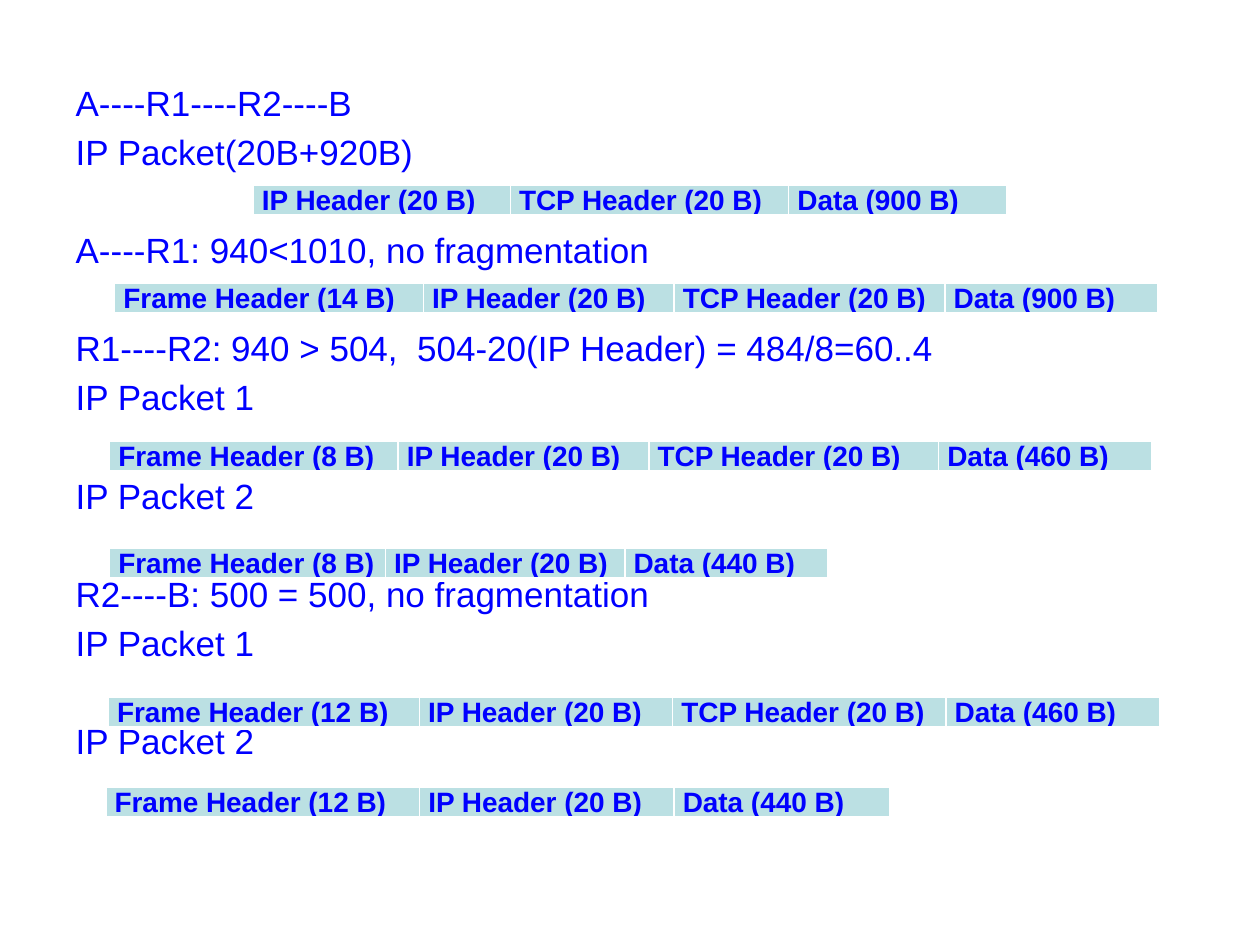
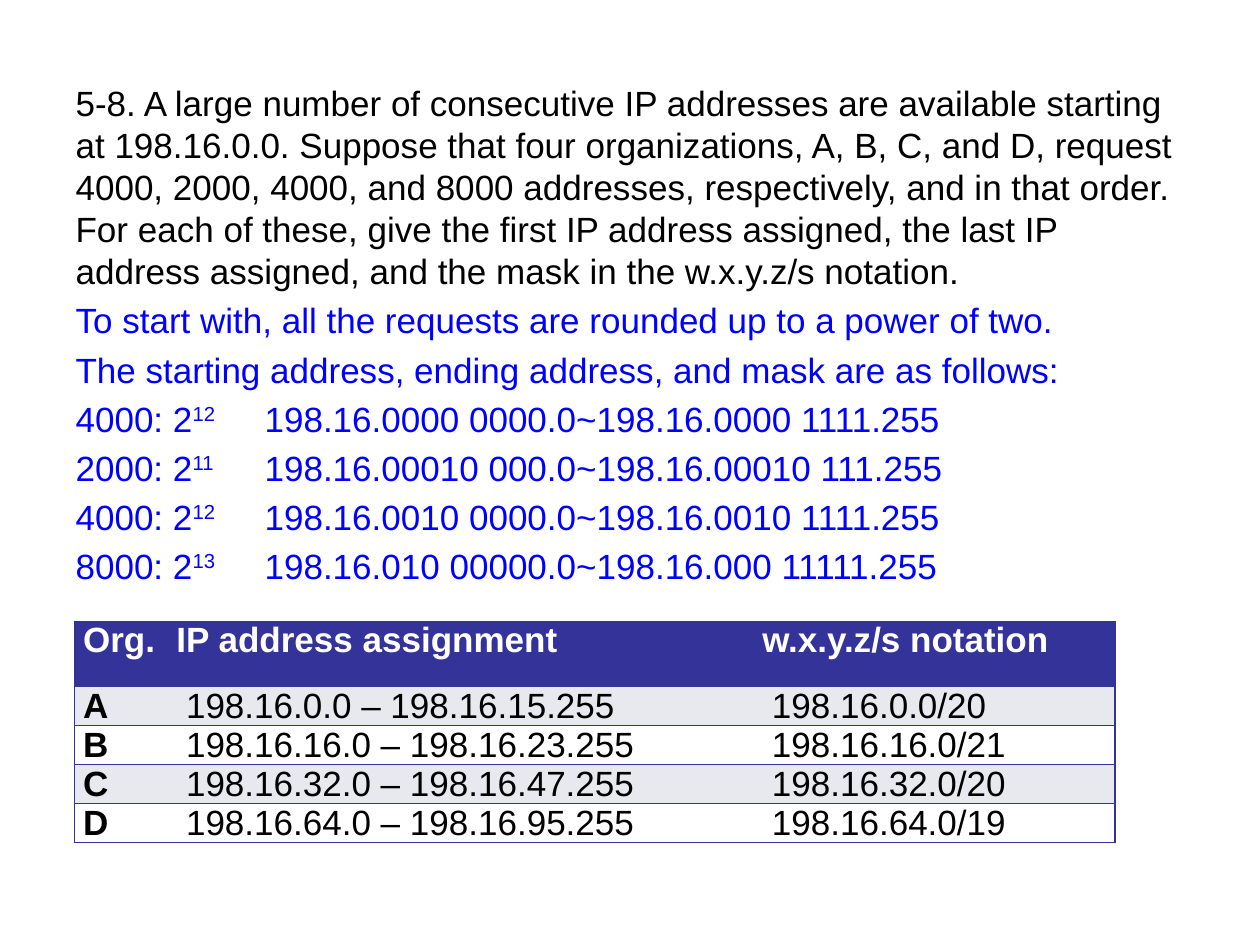
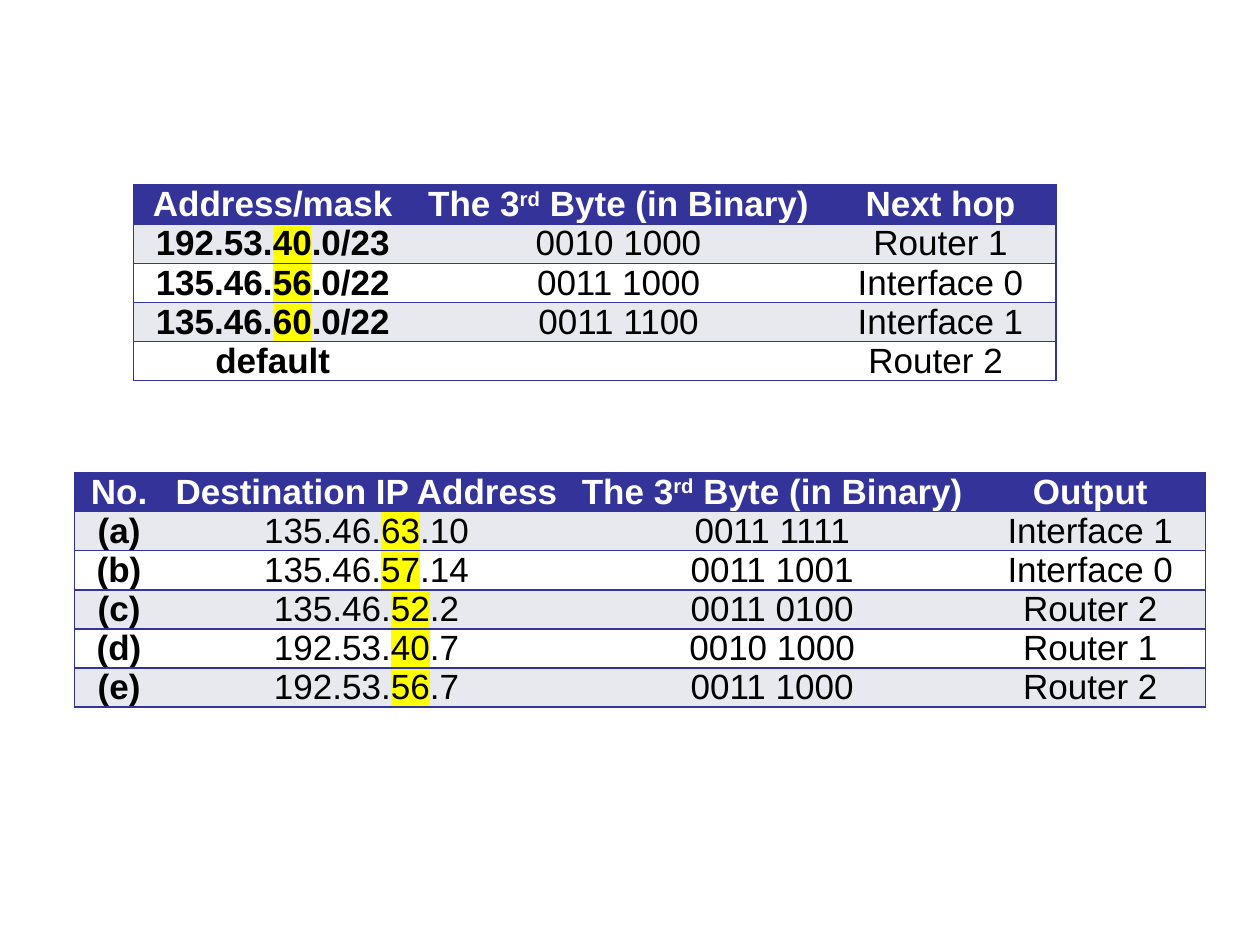
import pptx
import pptx.util
import pptx.dml.color
import pptx.enum.text
import pptx.oxml
import pptx.oxml.ns

Pt = pptx.util.Pt
qn = pptx.oxml.ns.qn
FONT = "Arial"
BLUE, BLACK, WHITE, YELLOW = "0000FF", "000000", "FFFFFF", "FFFF00"
NAVY, BAND, PALE = "333399", "E8E8EF", "BBE0E3"
BODY_BOX = (36, 43.2, 648, 436.3)
ROW_H = 22.3


def rgb(value):
    return pptx.dml.color.RGBColor.from_string(value)


def xml(tag, inner="", attrs=""):
    return pptx.oxml.parse_xml(
        f'<a:{tag} {pptx.oxml.ns.nsdecls("a")} {attrs}>{inner}</a:{tag}>')


def color_xml(value):
    return f'<a:srgbClr val="{value}"/>'


# Text: a run is a string, or a (text, "sup" | "mark") pair
def add_runs(p, runs, size, color, bold=False):
    for run in [runs] if isinstance(runs, str) else runs:
        text, kind = (run, None) if isinstance(run, str) else run
        r = p.add_run()
        r.text = text
        r.font.size = Pt(size)
        r.font.name = FONT
        r.font.bold = bold
        r.font.color.rgb = rgb(color)
        rPr = r.font._element
        if kind == "sup":
            rPr.set("baseline", "30000")
        elif kind == "mark":
            rPr.find(qn("a:solidFill")).addnext(xml("highlight", color_xml(YELLOW)))


def body_slide(prs, lines, box=BODY_BOX):
    """Lines are (runs, colour, space before) in the body placeholder."""
    s = prs.slides.add_slide(prs.slide_layouts[1])
    title = s.shapes.title.element
    title.getparent().remove(title)
    body = s.placeholders[1]
    body.left, body.top, body.width, body.height = map(Pt, box)
    tf = body.text_frame
    tf.word_wrap = True
    tf.auto_size = pptx.enum.text.MSO_AUTO_SIZE.NONE
    for i, (runs, color, before) in enumerate(lines):
        p = tf.add_paragraph() if i else tf.paragraphs[0]
        p.line_spacing = Pt(24)
        p.space_before = Pt(before)
        pPr = p._p.get_or_add_pPr()
        pPr.set("marL", "0")
        pPr.set("indent", "0")
        pPr.append(xml("buNone"))
        add_runs(p, runs, 20, color)
    return s


# Tables
def set_borders(cell, borders):
    """Borders are (colour or None, width) for left, right, top, bottom."""
    tcPr = cell._tc.get_or_add_tcPr()
    for i, (side, (color, width)) in enumerate(zip("LRTB", borders)):
        inner = f"<a:solidFill>{color_xml(color)}</a:solidFill>" if color else "<a:noFill/>"
        tcPr.insert(i, xml("ln" + side, inner, f'w="{Pt(width)}"'))


def make_table(s, left, top, cols, heights):
    shape = s.shapes.add_table(len(heights), len(cols), Pt(left), Pt(top),
                               Pt(sum(cols)), Pt(sum(heights)))
    table = shape.table
    for col, width in zip(table.columns, cols):
        col.width = Pt(width)
    for row, height in zip(table.rows, heights):
        row.height = Pt(height)
    return table


def fill_cell(cell, runs, fill, borders, size, color, bold, align=None):
    cell.fill.solid()
    cell.fill.fore_color.rgb = rgb(fill)
    set_borders(cell, borders)
    cell.margin_left = cell.margin_right = Pt(5)
    cell.margin_top = cell.margin_bottom = 0
    p = cell.text_frame.paragraphs[0]
    p.alignment = align
    if runs:
        add_runs(p, runs, size, color, bold)


def packet_table(s, left, top, fields):
    """One row showing the fields of a packet as (text, width)."""
    table = make_table(s, left, top, [w for _, w in fields], [17.9])
    borders = [(WHITE, 1)] * 3 + [(WHITE, 3)]
    for cell, (text, _) in zip(table.rows[0].cells, fields):
        fill_cell(cell, text, PALE, borders, 16, BLUE, True)


def banded_table(s, left, top, cols, rows, head_h=ROW_H, align=None):
    """Navy header, grey bands, bold first column, no inner verticals."""
    table = make_table(s, left, top, cols, [head_h] + [ROW_H] * (len(rows) - 1))
    last = len(cols) - 1
    for i, row in enumerate(rows):
        fill = NAVY if i == 0 else BAND if i % 2 else WHITE
        for j, runs in enumerate(row):
            borders = [(NAVY if j == 0 else None, 1),
                       (NAVY if j == last else None, 1), (NAVY, 1), (NAVY, 1)]
            fill_cell(table.cell(i, j), runs, fill, borders, 20,
                      BLACK if i else WHITE, i == 0 or j == 0, align)


# Slide 1: fragmentation along the route
def fragmentation_slide(prs):
    gap = 32  # leaves one line free for a packet table
    s = body_slide(prs, [(text, BLUE, before) for text, before in [
        ("A----R1----R2----B", 0),
        ("IP Packet(20B+920B)", 4),
        ("A----R1: 940<1010, no fragmentation", gap),
        ("R1----R2: 940 > 504,  504-20(IP Header) = 484/8=60..4", gap),
        ("IP Packet 1", 4),
        ("IP Packet 2", gap),
        ("R2----B: 500 = 500, no fragmentation", gap),
        ("IP Packet 1", 4),
        ("IP Packet 2", gap),
    ]])
    ip, tcp = "IP Header (20 B)", "TCP Header (20 B)"
    frame = "Frame Header ({} B)".format
    data = "Data ({} B)".format
    for left, top, fields in [
        (144.7, 105.8, [(ip, 146.9), (tcp, 159.1), (data(900), 124.6)]),
        (65.5, 162, [(frame(14), 176.4), (ip, 143.3), (tcp, 154.8), (data(900), 121.7)]),
        (62.6, 252, [(frame(8), 164.9), (ip, 143.3), (tcp, 165.6), (data(460), 121.7)]),
        (62.6, 313.2, [(frame(8), 157.7), (ip, 136.8), (data(440), 115.9)]),
        (61.9, 398.2, [(frame(12), 177.8), (ip, 144.7), (tcp, 156.2), (data(460), 122.4)]),
        (60.5, 450, [(frame(12), 179.3), (ip, 145.4), (data(440), 123.1)]),
    ]:
        packet_table(s, left, top, fields)


# Slide 2: address assignment
def assignment_slide(prs):
    question = (
        "5-8. A large number of consecutive IP addresses are available starting at "
        "198.16.0.0. Suppose that four organizations, A, B, C, and D, request 4000, "
        "2000, 4000, and 8000 addresses, respectively, and in that order. For each of "
        "these, give the first IP address assigned, the last IP address assigned, and "
        "the mask in the w.x.y.z/s notation.")
    answers = ["To start with, all the requests are rounded up to a power of two.",
               "The starting address, ending address, and mask are as follows:"]
    for count, power, span in [
        (4000, 12, "198.16.0000 0000.0~198.16.0000 1111.255"),
        (2000, 11, "198.16.00010 000.0~198.16.00010 111.255"),
        (4000, 12, "198.16.0010 0000.0~198.16.0010 1111.255"),
        (8000, 13, "198.16.010 00000.0~198.16.000 11111.255"),
    ]:
        answers.append([f"{count}: 2", (f"{power}\t", "sup"), span])
    s = body_slide(prs, [(question, BLACK, 0)] + [(a, BLUE, 4) for a in answers])
    banded_table(s, 42.5, 355, [53.3, 334.8, 206.6], [
        ["Org.", "IP address assignment", "w.x.y.z/s notation"],
        ["A", " 198.16.0.0 – 198.16.15.255", " 198.16.0.0/20"],
        ["B", " 198.16.16.0 – 198.16.23.255", " 198.16.16.0/21"],
        ["C", " 198.16.32.0 – 198.16.47.255", " 198.16.32.0/20"],
        ["D", " 198.16.64.0 – 198.16.95.255", " 198.16.64.0/19"],
    ], head_h=37.2)


# Slide 3: routing table and lookups
def routing_slide(prs):
    s = prs.slides.add_slide(prs.slide_layouts[6])
    center = pptx.enum.text.PP_ALIGN.CENTER
    third_byte = ["The 3", ("rd", "sup"), " Byte (in Binary)"]

    def address(net, byte, rest):
        return [net, (byte, "mark"), rest]

    banded_table(s, 76.3, 105.8, [159.1, 236.2, 131.8], [
        ["Address/mask", third_byte, "Next hop"],
        [address("192.53.", "40", ".0/23"), "0010 1000", "Router 1"],
        [address("135.46.", "56", ".0/22"), "0011 1000", "Interface 0"],
        [address("135.46.", "60", ".0/22"), "0011 1100", "Interface 1"],
        ["default", "", "Router 2 "],
    ], align=center)
    banded_table(s, 42.5, 270, [51.1, 231.8, 231.8, 131.8], [
        ["No.", "Destination IP Address", third_byte, "Output"],
        ["(a)", address("135.46.", "63", ".10"), "0011 1111", "Interface 1"],
        ["(b)", address("135.46.", "57", ".14"), "0011 1001", "Interface 0"],
        ["(c)", address("135.46.", "52", ".2"), "0011 0100", "Router 2"],
        ["(d)", address("192.53.", "40", ".7"), "0010 1000", "Router 1"],
        ["(e)", address("192.53.", "56", ".7"), "0011 1000", "Router 2"],
    ], align=center)


def main():
    prs = pptx.Presentation()
    prs.slide_width, prs.slide_height = Pt(720), Pt(540)
    fragmentation_slide(prs)
    assignment_slide(prs)
    routing_slide(prs)
    prs.save("out.pptx")


if __name__ == "__main__":
    main()
